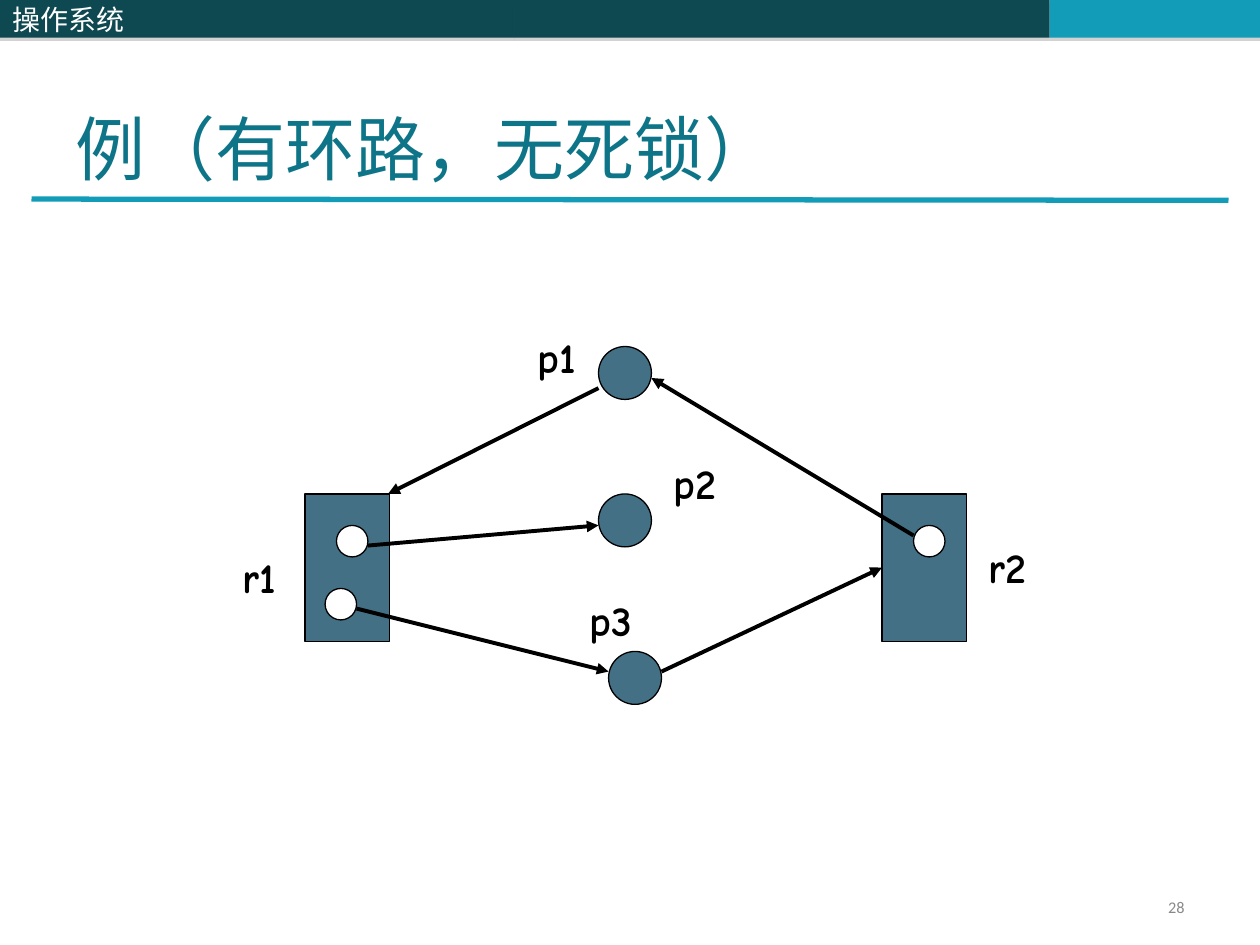
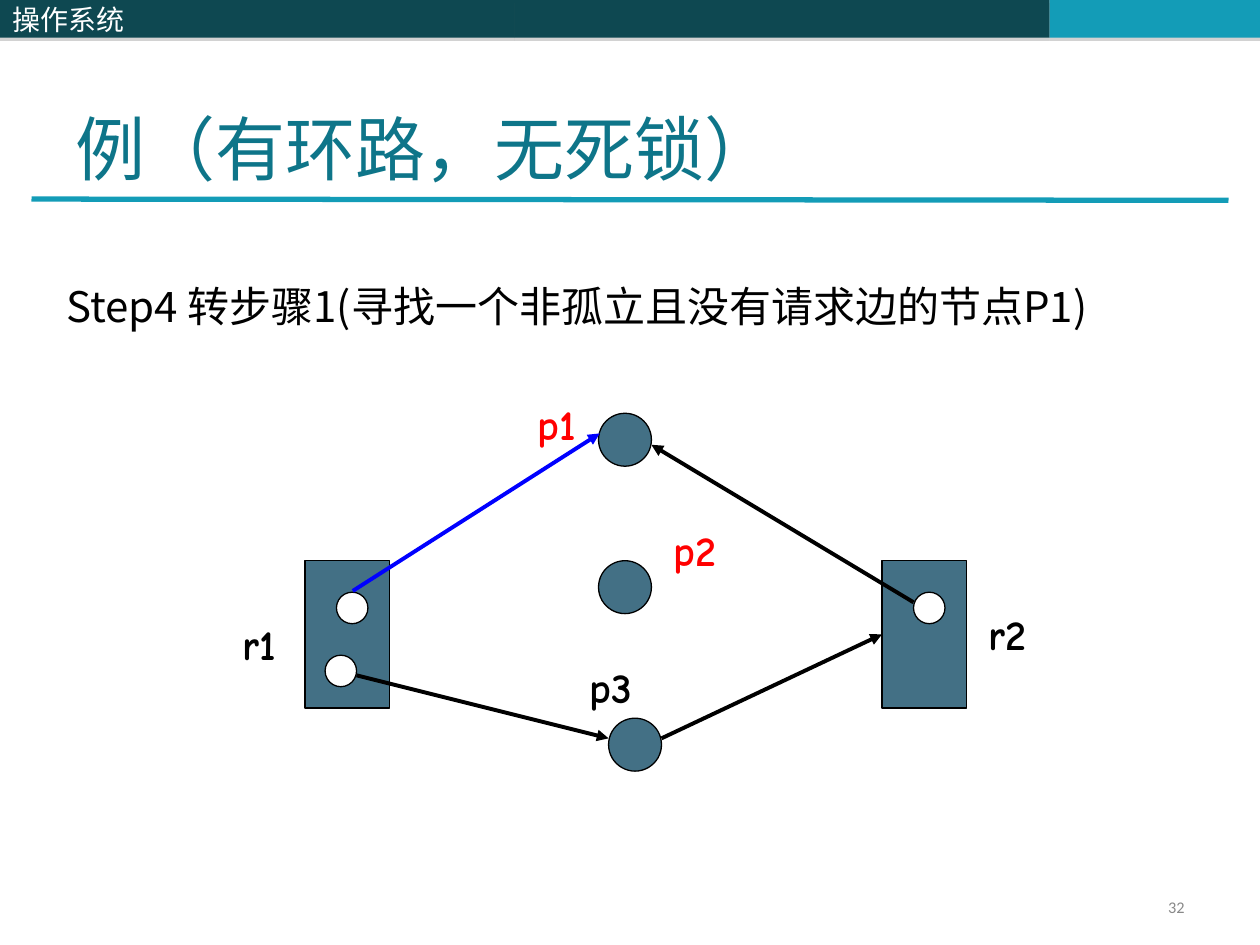
from dataclasses import dataclass

from lxml.etree import SubElement
from pptx import Presentation
from pptx.dml.color import RGBColor
from pptx.enum.shapes import MSO_CONNECTOR, MSO_SHAPE
from pptx.enum.text import MSO_ANCHOR, PP_ALIGN
from pptx.oxml.ns import qn
from pptx.util import Inches, Pt

DARK_TEAL = RGBColor(0x0E, 0x48, 0x51)
TEAL = RGBColor(0x13, 0x9C, 0xB7)
TITLE_TEAL = RGBColor(0x0E, 0x75, 0x89)
NODE_FILL = RGBColor(0x43, 0x70, 0x85)
GRAY = RGBColor(0x89, 0x89, 0x89)
WHITE = RGBColor(0xFF, 0xFF, 0xFF)
BLACK = RGBColor(0, 0, 0)
RED = RGBColor(0xFF, 0, 0)
BLUE = RGBColor(0, 0, 0xFF)

CJK_FONT = "Noto Sans CJK SC"
LABEL_FONT = "Comic Neue"
NUMBER_FONT = "Calibri"

PROCESS_SIZE = 0.42
RESOURCE_W, RESOURCE_H = 0.67, 1.17
HOLE_SIZE = 0.25


@dataclass(frozen=True)
class Process:
    name: str
    x: float
    y: float
    label: tuple[float, float, float]


@dataclass(frozen=True)
class Resource:
    name: str
    x: float
    y: float
    holes: tuple[tuple[float, float], ...]
    label: tuple[float, float, float]


@dataclass(frozen=True)
class Edge:
    start: tuple[float, float]
    end: tuple[float, float]
    color: RGBColor = BLACK
    target: str = ""


@dataclass(frozen=True)
class GraphSlide:
    number: str
    dy: float
    edges: tuple[Edge, ...]
    red_labels: tuple[str, ...] = ()
    step: str = ""


PROCESSES = (
    Process("p1", 4.75, 2.75, (4.17, 2.58, 0.75)),
    Process("p2", 4.75, 3.92, (5.25, 3.58, 0.58)),
    Process("p3", 4.83, 5.17, (4.58, 4.67, 0.58)),
)
RESOURCES = (
    Resource("r1", 2.42, 3.92, ((2.67, 4.17), (2.58, 4.67)), (1.83, 4.33, 0.67)),
    Resource("r2", 7, 3.92, ((7.25, 4.17),), (7.75, 4.25, 0.58)),
)
COMMON_EDGES = (
    Edge((7.25, 4.25), (5.17, 3)),
    Edge((2.83, 4.83), (4.83, 5.33)),
    Edge((5.25, 5.33), (7, 4.5), target="r2"),
)
SLIDES = (
    GraphSlide("28", 0, COMMON_EDGES + (
        Edge((2.92, 4.33), (4.75, 4.17)),
        Edge((4.75, 3.08), (3.08, 3.92)),
    )),
    GraphSlide("32", 0.53, COMMON_EDGES + (
        Edge((2.8, 4.16), (4.76, 2.91), BLUE),
    ), ("p1", "p2"), "Step4 转步骤1(寻找一个非孤立且没有请求边的节点P1)"),
)


def write(sp, text: str, size: float, font: str, color: RGBColor,
          bold: bool = False, anchor=MSO_ANCHOR.TOP, align=PP_ALIGN.LEFT):
    tf = sp.text_frame
    tf.word_wrap = True
    tf.vertical_anchor = anchor
    tf.text = text
    p = tf.paragraphs[0]
    p.alignment = align
    r = p.runs[0]
    r.font.size = Pt(size)
    r.font.name = font
    r.font.bold = bold
    r.font.color.rgb = color
    SubElement(r.font._element, qn("a:ea"), typeface=font)
    return p


def add_text(s, x: float, y: float, w: float, h: float, *args, **kwargs):
    """Add a text box; the further arguments go to write()."""
    sp = s.shapes.add_textbox(Inches(x), Inches(y), Inches(w), Inches(h))
    return write(sp, *args, **kwargs)


def add_band(s, x: float, w: float, color: RGBColor):
    """Add one part of the top band with its thin gray shadow."""
    sp = s.shapes.add_shape(MSO_SHAPE.RECTANGLE, Inches(x), 0, Inches(w), Inches(0.3))
    sp.fill.solid()
    sp.fill.fore_color.rgb = color
    sp.line.fill.background()
    sp.shadow.inherit = False
    effects = sp._element.spPr.find(qn("a:effectLst"))
    shadow = SubElement(effects, qn("a:outerShdw"), dist=str(Pt(1.8)),
                        dir="5400000", rotWithShape="0")
    tint = SubElement(shadow, qn("a:srgbClr"), val="808080")
    SubElement(tint, qn("a:alpha"), val="35000")
    return sp


def add_line(s, start: tuple[float, float], end: tuple[float, float],
             color: RGBColor, width: float):
    sp = s.shapes.add_connector(MSO_CONNECTOR.STRAIGHT,
                                *(Inches(v) for v in (*start, *end)))
    sp.line.color.rgb = color
    sp.line.width = Pt(width)
    SubElement(sp._element.spPr, qn("a:effectLst"))
    return sp


def add_node(shapes, kind, x: float, y: float, w: float, h: float, fill: RGBColor):
    sp = shapes.add_shape(kind, Inches(x), Inches(y), Inches(w), Inches(h))
    sp.fill.solid()
    sp.fill.fore_color.rgb = fill
    sp.line.color.rgb = BLACK
    sp.line.width = Pt(0.75)
    sp.shadow.inherit = False
    return sp


def add_resource(s, resource: Resource, dy: float):
    """Draw a resource with its instances as one group; return the box."""
    shapes = s.shapes.add_group_shape().shapes
    box = add_node(shapes, MSO_SHAPE.RECTANGLE, resource.x, resource.y + dy,
                   RESOURCE_W, RESOURCE_H, NODE_FILL)
    for x, y in resource.holes:
        add_node(shapes, MSO_SHAPE.OVAL, x, y + dy, HOLE_SIZE, HOLE_SIZE, WHITE)
    return box


def add_frame(s, number: str) -> None:
    """Draw the top band, title, rule and page number."""
    add_band(s, 4.08, 4.25, DARK_TEAL)
    add_band(s, 8.33, 1.67, TEAL)
    add_line(s, (0.25, 1.58), (9.75, 1.59), TEAL, 3)
    write(add_band(s, 0, 4.08, DARK_TEAL), "操作系统", 16, CJK_FONT, WHITE,
          anchor=MSO_ANCHOR.MIDDLE)
    p = add_text(s, 7.17, 7.08, 2.33, 0.27, number, 9.3, NUMBER_FONT, GRAY,
                 anchor=MSO_ANCHOR.MIDDLE, align=PP_ALIGN.RIGHT)
    p.line_spacing = 0.8
    add_text(s, 0.5, 0.3, 9, 1.25, "例（有环路，无死锁）", 40, CJK_FONT, TITLE_TEAL,
             anchor=MSO_ANCHOR.BOTTOM)


def add_graph(s, graph: GraphSlide) -> None:
    dy = graph.dy
    boxes = {res.name: add_resource(s, res, dy) for res in RESOURCES}
    for proc in PROCESSES:
        add_node(s.shapes, MSO_SHAPE.OVAL, proc.x, proc.y + dy,
                 PROCESS_SIZE, PROCESS_SIZE, NODE_FILL)
    for node in PROCESSES + RESOURCES:
        x, y, w = node.label
        color = RED if node.name in graph.red_labels else BLACK
        add_text(s, x, y + dy, w, 0.5, node.name, 24, LABEL_FONT, color, bold=True)
    for edge in graph.edges:
        (x1, y1), (x2, y2) = edge.start, edge.end
        arrow = add_line(s, (x1, y1 + dy), (x2, y2 + dy), edge.color, 2.25)
        SubElement(arrow.line._get_or_add_ln(), qn("a:tailEnd"), type="triangle")
        if edge.target:
            arrow.end_connect(boxes[edge.target], 1)


def main() -> None:
    prs = Presentation()
    prs.slide_width, prs.slide_height = Inches(10), Inches(7.5)
    for graph in SLIDES:
        s = prs.slides.add_slide(prs.slide_layouts[6])
        add_frame(s, graph.number)
        add_graph(s, graph)
        if graph.step:
            add_text(s, 0.43, 2.18, 9.57, 0.5, graph.step, 24, CJK_FONT, BLACK)
    prs.save("out.pptx")


if __name__ == "__main__":
    main()
